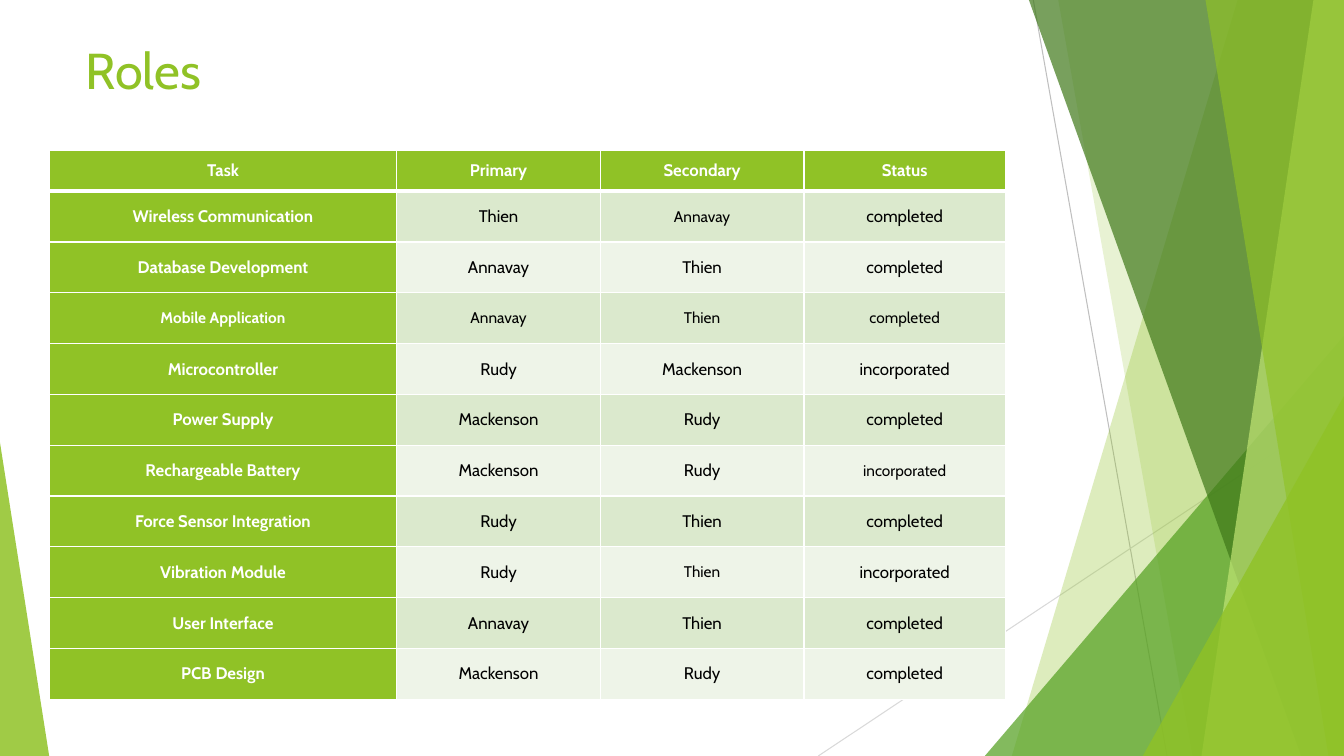
from lxml import etree
from pptx import Presentation
from pptx.dml.color import RGBColor
from pptx.enum.shapes import MSO_CONNECTOR, MSO_SHAPE
from pptx.enum.text import MSO_ANCHOR, PP_ALIGN
from pptx.oxml.ns import qn
from pptx.util import Cm, Pt

STRAIGHT = MSO_CONNECTOR.STRAIGHT
TRIANGLE = MSO_SHAPE.ISOSCELES_TRIANGLE
MIDDLE, TOP = MSO_ANCHOR.MIDDLE, MSO_ANCHOR.TOP
CENTER, LEFT = PP_ALIGN.CENTER, PP_ALIGN.LEFT

FONT = "Cabin"
GREEN, WHITE, BLACK = "90C226", "FFFFFF", "000000"
BANDS = ("DBE9CD", "EEF4E8")
SLIDE_W, SLIDE_H = 33.87, 19.05

TITLE = "Roles"
TITLE_BOX = (1.91, 0.86, 23.88, 3.66)
ROWS = [
    ("Task", "Primary", "Secondary", "Status"),
    ("Wireless Communication", "Thien", "Annavay", "completed"),
    ("Database Development", "Annavay", "Thien", "completed"),
    ("Mobile Application", "Annavay", "Thien", "completed"),
    ("Microcontroller", "Rudy", "Mackenson", "incorporated"),
    ("Power Supply", "Mackenson", "Rudy", "completed"),
    ("Rechargeable Battery", "Mackenson", "Rudy", "incorporated"),
    ("Force Sensor Integration", "Rudy", "Thien", "completed"),
    ("Vibration Module", "Rudy", "Thien", "incorporated"),
    ("User Interface", "Annavay", "Thien", "completed"),
    ("PCB Design", "Mackenson", "Rudy", "completed"),
]
SMALL_CELLS = {(1, 2), (3, 0), (3, 1), (3, 2), (3, 3), (6, 3), (8, 2)}
TABLE_LEFT, TABLE_TOP = 1.24, 3.78
COL_WIDTHS = (8.76, 5.13, 5.13, 5.08)
HEADER_H, ROW_H = 1.04, 1.28

LINES = [
    ((26.04, 0, 29.41, SLIDE_H), "BFBFBF"),
    ((SLIDE_W, 10.24, 20.62, SLIDE_H), "D9D9D9"),
]
FACETS = [
    ("panel", (31.19, 25.5), GREEN, 30),
    ("panel", (26.67, 30.05), GREEN, 20),
    ("triangle", (24.82, 8.46, 9.05, 1), "54A021", 72),
    ("panel", (25.93, 32.79), "3F7819", 70),
    ("panel", (33.1, 30.28), "C0E474", 70),
    ("panel", (30.38, 33.48), GREEN, 65),
    ("triangle", (28.8, 9.98, 5.07, 1), GREEN, 80),
    ("triangle", (0, 11.15, 1.24, 0), GREEN, 85),
]


def rgb(value):
    return RGBColor.from_string(value)


def write(tf, text, align, color, **fmt):
    p = tf.paragraphs[0]
    p.alignment = align
    r = p.add_run()
    r.text = text
    r.font.color.rgb = rgb(color)
    for name, value in {"name": FONT, **fmt}.items():
        setattr(r.font, name, value)


def add_line(s, ends, color):
    line = s.shapes.add_connector(STRAIGHT, *map(Cm, ends))
    line.line.color.rgb = rgb(color)
    line.line.width = Pt(0.75)
    etree.SubElement(line._element.spPr, qn("a:effectLst"))


def add_facet(s, kind, geometry, color, opacity):
    if kind == "panel":
        top_x, bottom_x = geometry
        corners = [(SLIDE_W, 0), (SLIDE_W, SLIDE_H), (bottom_x, SLIDE_H)]
        builder = s.shapes.build_freeform(Cm(top_x), 0)
        builder.add_line_segments([(Cm(x), Cm(y)) for x, y in corners])
        sp = builder.convert_to_shape()
    else:
        left, top, width, apex = geometry
        box = (left, top, width, SLIDE_H - top)
        sp = s.shapes.add_shape(TRIANGLE, *map(Cm, box))
        sp.adjustments[0] = apex
    sp.shadow.inherit = False
    sp.fill.solid()
    sp.fill.fore_color.rgb = rgb(color)
    sp.line.fill.background()
    fill_color = sp._element.spPr.find(".//" + qn("a:srgbClr"))
    etree.SubElement(fill_color, qn("a:alpha"), val=str(opacity * 1000))


def add_borders(cell, widths):
    tc_pr = cell._tc.get_or_add_tcPr()
    for side, width in zip("LRTB", widths):
        ln = etree.SubElement(tc_pr, qn("a:ln" + side), w=str(Pt(width)))
        fill = etree.SubElement(ln, qn("a:solidFill"))
        etree.SubElement(fill, qn("a:srgbClr"), val=WHITE)


def add_roles_table(s):
    body = len(ROWS) - 1
    size = (sum(COL_WIDTHS), HEADER_H + body * ROW_H)
    frame = s.shapes.add_table(len(ROWS), len(COL_WIDTHS),
                               *map(Cm, (TABLE_LEFT, TABLE_TOP) + size))
    table = frame.table
    for column, width in zip(table.columns, COL_WIDTHS):
        column.width = Cm(width)
    cell_format = {"margin_left": Cm(0.18), "margin_right": Cm(0.18),
                   "margin_top": 0, "margin_bottom": 0,
                   "vertical_anchor": MIDDLE}
    for i, row in enumerate(ROWS):
        table.rows[i].height = Cm(ROW_H if i else HEADER_H)
        for j, text in enumerate(row):
            cell = table.cell(i, j)
            heading = i == 0 or j == 0
            for name, value in cell_format.items():
                setattr(cell, name, value)
            add_borders(cell, (1, 1, 3 if i == 1 else 1, 3 if i == 0 else 1))
            cell.fill.solid()
            cell.fill.fore_color.rgb = rgb(GREEN if heading else BANDS[(i - 1) % 2])
            write(cell.text_frame, text, CENTER, WHITE if heading else BLACK,
                  size=Pt(11 if (i, j) in SMALL_CELLS else 12), bold=heading)


def main():
    prs = Presentation()
    prs.slide_width, prs.slide_height = Cm(SLIDE_W), Cm(SLIDE_H)
    s = prs.slides.add_slide(prs.slide_layouts[6])
    for ends, color in LINES:
        add_line(s, ends, color)
    for facet in FACETS:
        add_facet(s, *facet)
    tf = s.shapes.add_textbox(*map(Cm, TITLE_BOX)).text_frame
    tf.word_wrap = True
    tf.vertical_anchor = TOP
    write(tf, TITLE, LEFT, GREEN, size=Pt(36))
    add_roles_table(s)
    prs.save("out.pptx")


if __name__ == "__main__":
    main()
